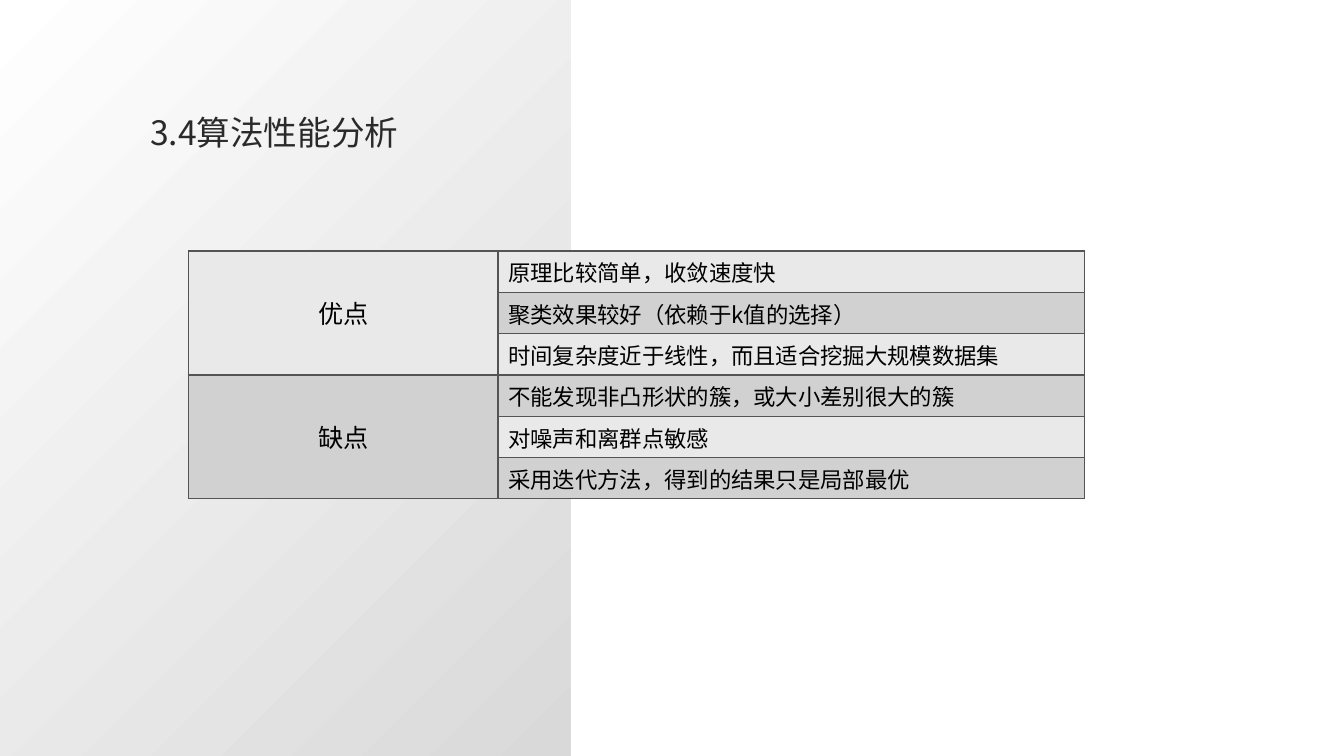
from lxml import etree
from pptx import Presentation
from pptx.dml.color import RGBColor
from pptx.enum.shapes import MSO_SHAPE
from pptx.enum.text import MSO_ANCHOR, PP_ALIGN
from pptx.oxml.ns import qn
from pptx.util import Inches, Pt

RECT = MSO_SHAPE.RECTANGLE
BOTTOM, MIDDLE, TOP = MSO_ANCHOR.BOTTOM, MSO_ANCHOR.MIDDLE, MSO_ANCHOR.TOP
CENTER, LEFT = PP_ALIGN.CENTER, PP_ALIGN.LEFT
FONT = "Noto Sans CJK SC"
COLORS = {
    "title": "2A2A2A", "text": "000000", "border": "545454",
    "light": "E9E9E9", "dark": "D1D1D1", "near": "D9D9D9", "far": "FFFFFF",
}
GROUPS = [
    ("优点", ["原理比较简单，收敛速度快",
            "聚类效果较好（依赖于k值的选择）",
            "时间复杂度近于线性，而且适合挖掘大规模数据集"]),
    ("缺点", ["不能发现非凸形状的簇，或大小差别很大的簇",
            "对噪声和离群点敏感",
            "采用迭代方法，得到的结果只是局部最优"]),
]


def tint(name):
    """Return a named colour."""
    return RGBColor.from_string(COLORS[name])


def write(frame, text, size, color, align=LEFT):
    """Put one styled line of text in a frame."""
    line = frame.paragraphs[0]
    line.alignment = align
    run = line.add_run()
    run.text = text
    for key, value in {"size": Pt(size), "name": FONT}.items():
        setattr(run.font, key, value)
    run.font.color.rgb = tint(color)
    etree.SubElement(run.font._element, qn("a:ea"), typeface=FONT)
    return line


def add_panel(slide):
    """Draw the left panel, shaded from its lower right corner."""
    panel = slide.shapes.add_shape(RECT, 0, 0, Inches(5.66), Inches(7.5))
    panel.shadow.inherit = False
    panel.line.fill.background()
    panel.fill.gradient()
    for stop, name in zip(panel.fill.gradient_stops, ("near", "far")):
        stop.color.rgb = tint(name)
    grad = panel._element.spPr.find(qn("a:gradFill"))
    grad.remove(grad.find(qn("a:lin")))
    focus = etree.SubElement(grad, qn("a:path"), path="circle")
    etree.SubElement(focus, qn("a:fillToRect"), l="100000", t="100000")


def add_title(slide, text):
    """Add the slide heading."""
    box = slide.shapes.add_textbox(
        Inches(1.39), Inches(0.76), Inches(4.25), Inches(0.8))
    frame = box.text_frame
    frame.word_wrap = True
    frame.vertical_anchor = BOTTOM
    write(frame, text, 24, "title").line_spacing = 0.9


def add_edges(cell):
    """Give a cell thin borders on all sides."""
    props = cell._tc.get_or_add_tcPr()
    for spot, side in enumerate(("lnL", "lnR", "lnT", "lnB")):
        edge = etree.Element(qn(f"a:{side}"), w=str(Pt(1)))
        fill = etree.SubElement(edge, qn("a:solidFill"))
        etree.SubElement(fill, qn("a:srgbClr"), val=COLORS["border"])
        props.insert(spot, edge)


def fill_cell(cell, text, size, align, anchor):
    """Write the text of a cell."""
    cell.vertical_anchor = anchor
    write(cell.text_frame, text, size, "text", align)


def add_grid(slide):
    """Add the table of strengths and weaknesses."""
    count = sum(len(points) for _, points in GROUPS)
    grid = slide.shapes.add_table(
        count, 2, Inches(1.87), Inches(2.49),
        Inches(8.89), Inches(0.41 * count)).table
    for col, width in zip(grid.columns, (3.07, 5.82)):
        col.width = Inches(width)
    for row in range(count):
        for col in range(2):
            cell = grid.cell(row, col)
            cell.fill.solid()
            cell.fill.fore_color.rgb = tint("dark" if row % 2 else "light")
            add_edges(cell)
    row = 0
    for head, points in GROUPS:
        last = row + len(points) - 1
        grid.cell(row, 0).merge(grid.cell(last, 0))
        fill_cell(grid.cell(row, 0), head, 18, CENTER, MIDDLE)
        for step, point in enumerate(points):
            fill_cell(grid.cell(row + step, 1), point, 16, LEFT, TOP)
        row = last + 1


def main():
    """Build and save the slide."""
    deck = Presentation()
    deck.slide_width, deck.slide_height = Inches(13.33), Inches(7.5)
    slide = deck.slides.add_slide(deck.slide_layouts[6])
    add_panel(slide)
    add_title(slide, "3.4算法性能分析")
    add_grid(slide)
    deck.save("out.pptx")


if __name__ == "__main__":
    main()
